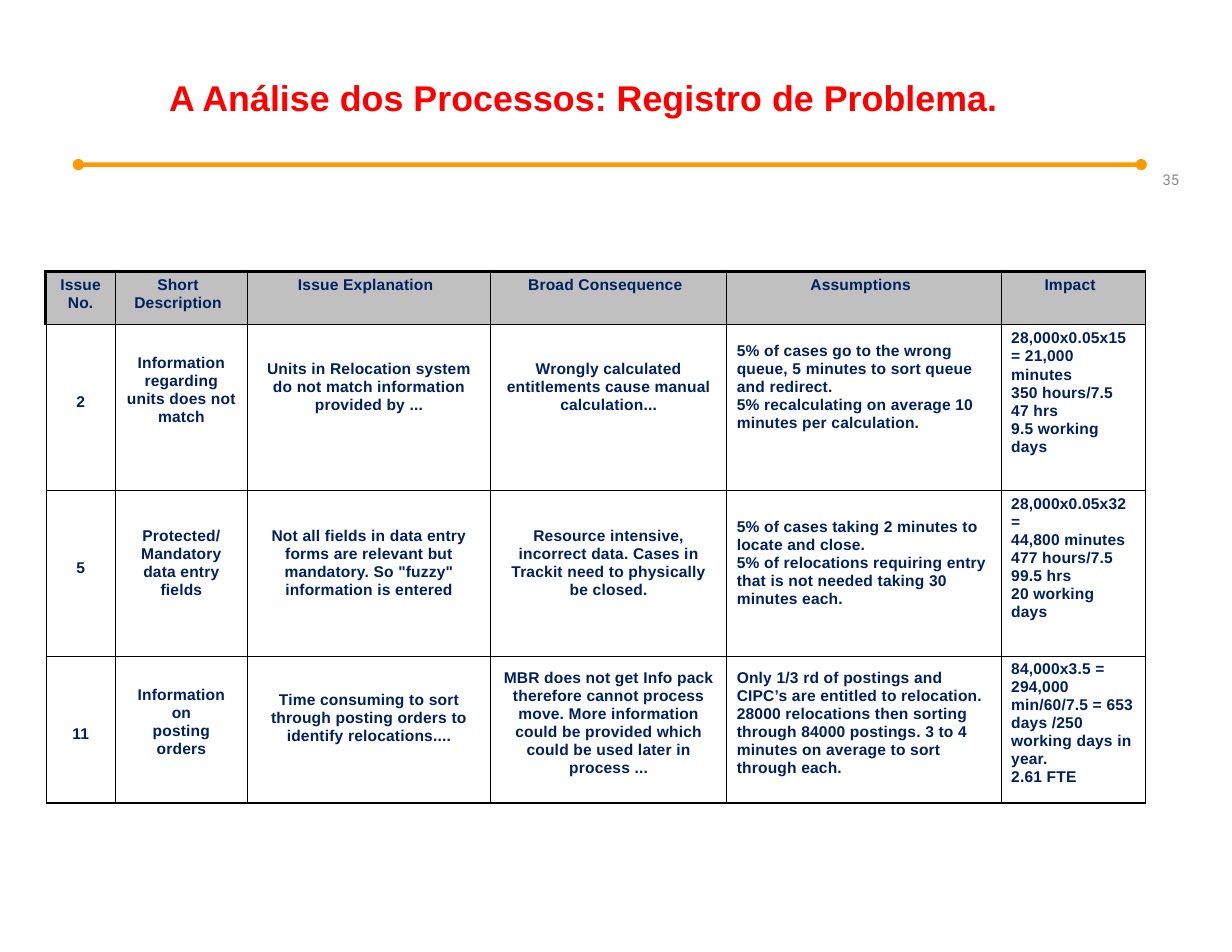
from math import cos, radians, sin

from lxml import etree
from pptx import Presentation
from pptx.dml.color import RGBColor
from pptx.enum.text import MSO_ANCHOR, MSO_AUTO_SIZE, PP_ALIGN
from pptx.oxml.ns import qn
from pptx.util import Inches, Pt

LEFT, CENTER = PP_ALIGN.LEFT, PP_ALIGN.CENTER
TOP = MSO_ANCHOR.TOP
RED = RGBColor(0xFF, 0x00, 0x00)
ORANGE = RGBColor(0xFF, 0x99, 0x00)
NAVY = RGBColor(0x00, 0x20, 0x60)
SILVER = RGBColor(0xC0, 0xC0, 0xC0)
GRAY = RGBColor(0x89, 0x89, 0x89)

TITLE = "A Análise dos Processos: Registro de Problema."
PAGE = "35"

# In cell texts \n starts a paragraph and \v breaks a line.
ROWS = [
    ["Issue\vNo.", "Short\vDescription", "Issue Explanation",
     "Broad Consequence", "Assumptions", "Impact"],
    ["2",
     "Information\vregarding\vunits does not\vmatch",
     "Units in Relocation system\vdo not match information\vprovided by ...",
     "Wrongly calculated\ventitlements cause manual\vcalculation...",
     "5% of cases go to the wrong\vqueue, 5 minutes to sort queue\vand redirect.\n"
     "5% recalculating on average 10\vminutes per calculation.",
     "28,000x0.05x15\n= 21,000\nminutes\n350 hours/7.5\n47 hrs\n9.5 working\vdays"],
    ["5",
     "Protected/\vMandatory\vdata entry\vfields",
     "Not all fields in data entry\vforms are relevant but\v"
     "mandatory. So \"fuzzy\"\vinformation is entered",
     "Resource intensive,\vincorrect data. Cases in\vTrackit need to physically\vbe closed.",
     "5% of cases taking 2 minutes to\vlocate and close.\n"
     "5% of relocations requiring entry\vthat is not needed taking 30\vminutes each.",
     "28,000x0.05x32\n=\n44,800 minutes\n477 hours/7.5\n99.5 hrs\n20 working\vdays"],
    ["11",
     "Information\von\nposting\vorders",
     "Time consuming to sort\vthrough posting orders to\videntify relocations....",
     "MBR does not get Info pack\vtherefore cannot process\vmove. More information\v"
     "could be provided which\vcould be used later in\vprocess ...",
     "Only 1/3 rd of postings and\vCIPC’s are entitled to relocation.\v"
     "28000 relocations then sorting\vthrough 84000 postings. 3 to 4\v"
     "minutes on average to sort\vthrough each.",
     "84,000x3.5 =\n294,000\nmin/60/7.5 = 653\vdays /250\vworking days in\vyear.\n2.61 FTE"],
]
TOP_MARGINS = [
    [0.04] * 6,
    [0.61, 0.26, 0.31, 0.31, 0.15, 0.04],
    [0.61, 0.32, 0.32, 0.32, 0.24, 0.04],
    [0.61, 0.26, 0.31, 0.11, 0.11, 0.03],
]
COL_WIDTHS = [0.62, 1.18, 2.17, 2.11, 2.45, 1.29]
ROW_HEIGHTS = [0.48, 1.48, 1.48, 1.31]
LEFT_ALIGNED_FROM = 4
TABLE_X, TABLE_Y = 0.41, 2.42
RULE_X1, RULE_X2, RULE_Y, DOT_RADIUS = 0.7, 10.19, 1.47, 0.05
JOIN_ANGLE, ARC_STEP = 24, 26


def set_borders(cell, **widths):
    """Draw black cell edges; keys are L, R, T, B and values are points."""
    tcPr = cell._tc.get_or_add_tcPr()
    for side, width in widths.items():
        ln = etree.SubElement(tcPr, qn(f"a:ln{side}"), w=str(Pt(width)))
        fill = etree.SubElement(ln, qn("a:solidFill"))
        etree.SubElement(fill, qn("a:srgbClr"), val="000000")


def clear_frame(tf):
    tf.margin_left = tf.margin_right = tf.margin_top = tf.margin_bottom = 0
    tf.vertical_anchor = TOP
    tf.auto_size = MSO_AUTO_SIZE.NONE
    tf.word_wrap = True


def set_font(p, name, size, color, bold=False):
    p.font.name, p.font.size, p.font.bold = name, Pt(size), bold
    p.font.color.rgb = color


def set_spacing(p, hundredths):
    for r in p.runs:
        r.font._element.set("spc", str(hundredths))


def add_title(s):
    title = s.shapes.title
    title.left, title.top = Inches(1.51), Inches(0.68)
    title.width, title.height = Inches(7.6), Inches(0.41)
    clear_frame(title.text_frame)
    title.text_frame.text = TITLE
    p = title.text_frame.paragraphs[0]
    p.alignment = LEFT
    set_font(p, "Arial", 23, RED, True)
    set_spacing(p, 4)


def add_rule(s):
    """Draw a bar with a round dot at each end as one outline."""
    points = []
    for x, turn in ((RULE_X1, 0), (RULE_X2, 180)):
        for angle in range(JOIN_ANGLE, 361 - JOIN_ANGLE, ARC_STEP):
            a = radians(angle + turn)
            points.append((Inches(x + DOT_RADIUS * cos(a)), Inches(RULE_Y + DOT_RADIUS * sin(a))))
    builder = s.shapes.build_freeform(*points[0])
    builder.add_line_segments(points[1:], close=True)
    rule = builder.convert_to_shape()
    rule.shadow.inherit = False
    rule.fill.solid()
    rule.fill.fore_color.rgb = ORANGE
    rule.line.fill.background()


def add_page_number(s):
    tf = s.shapes.add_textbox(Inches(10.38), Inches(1.52), Inches(0.25), Inches(0.19)).text_frame
    clear_frame(tf)
    tf.text = PAGE
    set_font(tf.paragraphs[0], "Roboto", 9.5, GRAY)


def fill_cell(cell, row, col):
    header = row == 0
    left_aligned = not header and col >= LEFT_ALIGNED_FROM
    cell.margin_left = Inches(0.09 if left_aligned else 0)
    cell.margin_right = Inches(0.06 if header and col else 0)
    cell.margin_top = Inches(TOP_MARGINS[row][col])
    cell.margin_bottom = 0
    cell.vertical_anchor = TOP
    cell.text = ROWS[row][col]
    for p in cell.text_frame.paragraphs:
        p.alignment = LEFT if left_aligned else CENTER
        p.line_spacing = 1.04
        set_font(p, "Arial", 10, NAVY, True)
        set_spacing(p, 15)
    outer_left = 2.25 if header else 0.25
    set_borders(cell, L=outer_left if col == 0 else 1, R=1, T=2.25 if header else 1, B=1)
    if header:
        cell.fill.solid()
        cell.fill.fore_color.rgb = SILVER
    else:
        cell.fill.background()


def add_issue_table(s):
    table = s.shapes.add_table(len(ROWS), len(COL_WIDTHS), Inches(TABLE_X), Inches(TABLE_Y),
                               Inches(sum(COL_WIDTHS)), Inches(sum(ROW_HEIGHTS))).table
    table.first_row = table.horz_banding = False
    for column, width in zip(table.columns, COL_WIDTHS):
        column.width = Inches(width)
    for row, height in zip(table.rows, ROW_HEIGHTS):
        row.height = Inches(height)
    for row in range(len(ROWS)):
        for col in range(len(COL_WIDTHS)):
            fill_cell(table.cell(row, col), row, col)


def main():
    prs = Presentation()
    prs.slide_width, prs.slide_height = Inches(11), Inches(8.5)
    s = prs.slides.add_slide(prs.slide_layouts[5])
    add_rule(s)
    add_issue_table(s)
    add_page_number(s)
    add_title(s)
    prs.save("out.pptx")


if __name__ == "__main__":
    main()
